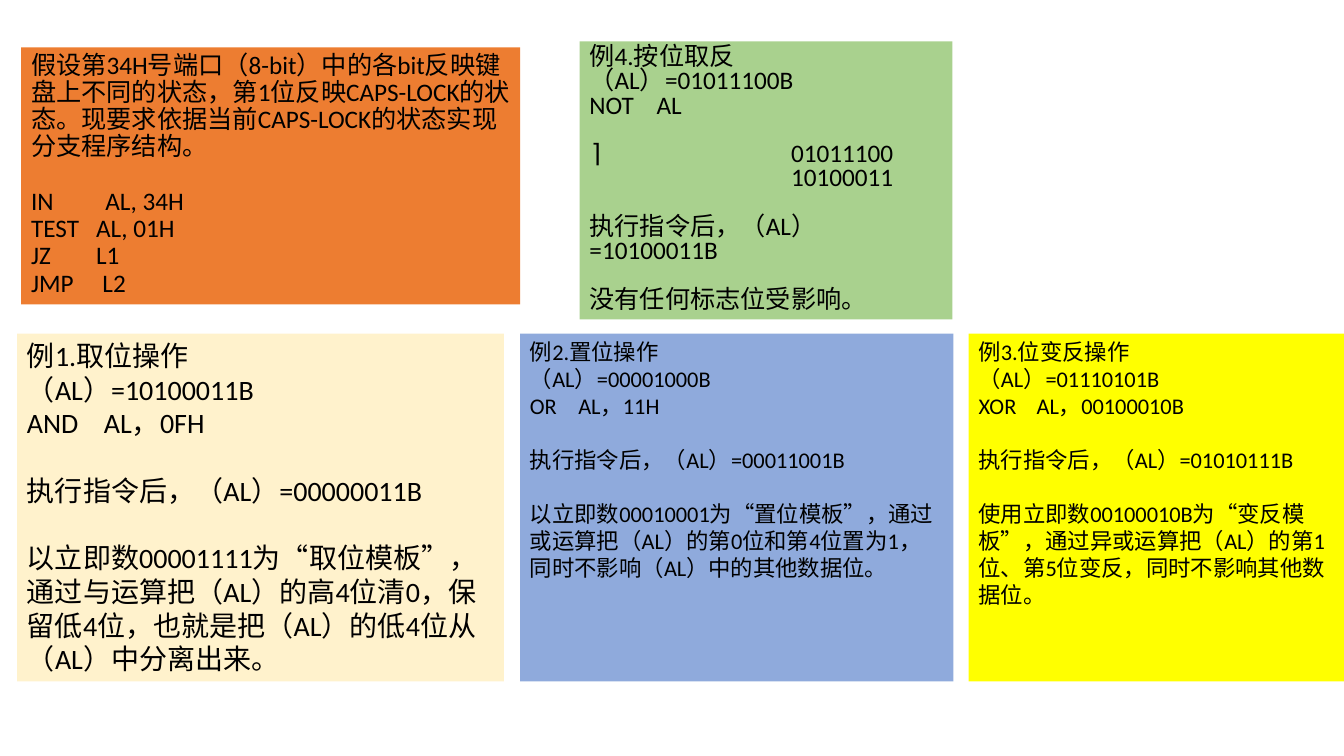
from dataclasses import dataclass

from lxml import etree
from pptx import Presentation
from pptx.dml.color import RGBColor
from pptx.enum.shapes import MSO_SHAPE
from pptx.enum.text import MSO_ANCHOR, PP_ALIGN
from pptx.oxml.ns import qn
from pptx.util import Pt

COLORS = {
    "text": "000000",
    "branch": "ED7D31",
    "not": "A9D18E",
    "and": "FFF2CC",
    "or": "8FAADC",
    "xor": "FFFF00",
}
FONT = "Calibri"
SYMBOL_FONT = "DejaVu Sans Mono"
LINE_HEIGHT = 1.21
ROW_TOP, ROW_HEIGHT = 238.3, 248.4


@dataclass
class Line:
    """A paragraph, with its tab stop in points and whether a line's gap precedes it."""
    text: str
    tab: float = 0
    gap: bool = False
    symbol: str = ""


BRANCH_LINES = [
    Line("假设第34H号端口（8-bit）中的各bit反映键盘上不同的状态，第1位反映CAPS-LOCK的状态。"
         "现要求依据当前CAPS-LOCK的状态实现分支程序结构。"),
    Line("IN\tAL, 34H", tab=53, gap=True),
    Line("TEST\tAL, 01H", tab=46.5),
    Line("JZ\tL1", tab=46.5),
    Line("JMP\tL2", tab=51),
]
NOT_LINES = [
    Line("例4.按位取反"),
    Line("（AL）=01011100B"),
    Line("NOT\tAL", tab=48),
    Line("\t01011100", tab=144, gap=True, symbol="⌉"),
    Line("\t10100011", tab=144),
    Line("执行指令后，（AL）=10100011B", gap=True),
    Line("没有任何标志位受影响。", gap=True),
]
AND_LINES = [
    Line("例1.取位操作"),
    Line("（AL）=10100011B"),
    Line("AND\tAL，0FH", tab=55),
    Line("执行指令后，（AL）=00000011B", gap=True),
    Line("以立即数00001111为“取位模板”，通过与运算把（AL）的高4位清0，保留低4位，"
         "也就是把（AL）的低4位从（AL）中分离出来。", gap=True),
]
OR_LINES = [
    Line("例2.置位操作"),
    Line("（AL）=00001000B"),
    Line("OR\tAL，11H", tab=34.5),
    Line("执行指令后，（AL）=00011001B", gap=True),
    Line("以立即数00010001为“置位模板”，通过或运算把（AL）的第0位和第4位置为1，"
         "同时不影响（AL）中的其他数据位。", gap=True),
]
XOR_LINES = [
    Line("例3.位变反操作"),
    Line("（AL）=01110101B"),
    Line("XOR\tAL，00100010B", tab=41.5),
    Line("执行指令后，（AL）=01010111B", gap=True),
    Line("使用立即数00100010B为“变反模板”，通过异或运算把（AL）的第1位、第5位变反，"
         "同时不影响其他数据位。", gap=True),
]


def set_tab_stop(paragraph, position):
    tab_list = etree.SubElement(paragraph._p.get_or_add_pPr(), qn("a:tabLst"))
    etree.SubElement(tab_list, qn("a:tab"), pos=str(Pt(position)), algn="l")


def add_text(paragraph, text, font, size):
    run = paragraph.add_run()
    run.text = text
    run.font.name = font
    run.font.size = Pt(size)
    run.font.color.rgb = RGBColor.from_string(COLORS["text"])


def fill_paragraph(paragraph, line, size, spacing):
    paragraph.alignment = PP_ALIGN.LEFT
    paragraph.line_spacing = spacing
    if line.gap:
        paragraph.space_before = Pt(round(size * LINE_HEIGHT * spacing, 1))
    if line.tab:
        set_tab_stop(paragraph, line.tab)
    if line.symbol:
        add_text(paragraph, line.symbol, SYMBOL_FONT, size)
    add_text(paragraph, line.text, FONT, size)


def add_panel(slide, color, left, top, width, height, lines, size, spacing=1.0):
    shape = slide.shapes.add_shape(
        MSO_SHAPE.RECTANGLE, Pt(left), Pt(top), Pt(width), Pt(height))
    shape.shadow.inherit = False
    shape.fill.solid()
    shape.fill.fore_color.rgb = RGBColor.from_string(COLORS[color])
    shape.line.fill.background()
    text_frame = shape.text_frame
    text_frame.word_wrap = True
    text_frame.vertical_anchor = MSO_ANCHOR.TOP
    for index, line in enumerate(lines):
        paragraph = text_frame.add_paragraph() if index else text_frame.paragraphs[0]
        fill_paragraph(paragraph, line, size, spacing)


def main():
    presentation = Presentation()
    presentation.slide_width = Pt(960)
    presentation.slide_height = Pt(540)
    slide = presentation.slides.add_slide(presentation.slide_layouts[6])

    add_panel(slide, "branch", 15.1, 33.8, 356.4, 183.6, BRANCH_LINES, 18, 0.9)
    add_panel(slide, "not", 414, 29.5, 266.4, 198.7, NOT_LINES, 18, 0.8)
    for color, left, width, lines, size in [
        ("and", 12.2, 347.8, AND_LINES, 20),
        ("or", 371.5, 309.6, OR_LINES, 16),
        ("xor", 691.9, 268.1, XOR_LINES, 16),
    ]:
        add_panel(slide, color, left, ROW_TOP, width, ROW_HEIGHT, lines, size)

    presentation.save("out.pptx")


if __name__ == "__main__":
    main()
